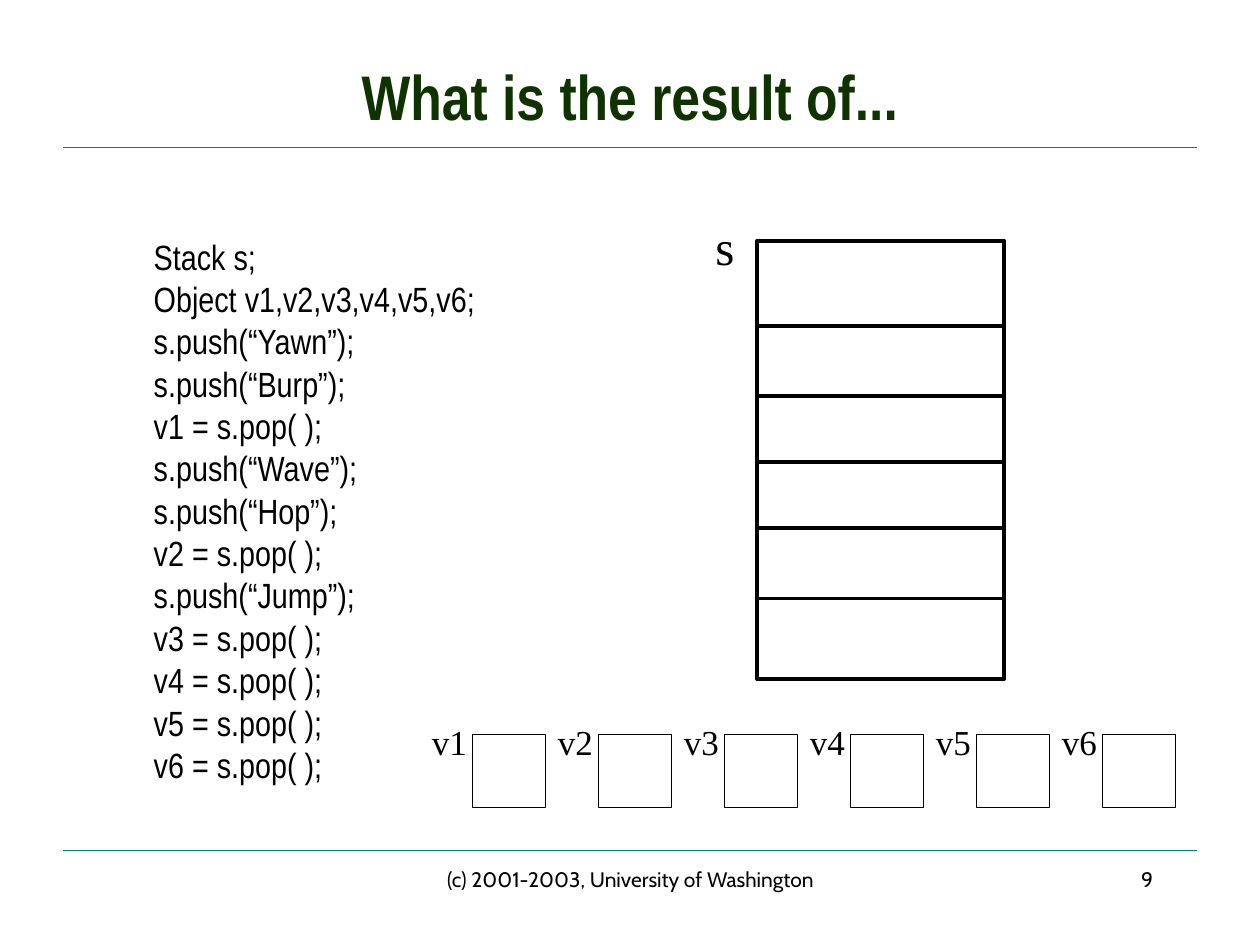
from lxml import etree
from pptx import Presentation
from pptx import util as u
from pptx.dml.color import RGBColor
from pptx.enum import shapes, text
from pptx.oxml.ns import qn

Inches = u.Inches
BLACK = RGBColor(0x00, 0x00, 0x00)
TEAL = RGBColor(0x00, 0x80, 0x80)
DARK_GREEN = RGBColor(0x0F, 0x32, 0x00)

CODE = [
    "Stack s;",
    "Object v1,v2,v3,v4,v5,v6;",
    "s.push(“Yawn”);",
    "s.push(“Burp”);",
    "v1 = s.pop( );",
    "s.push(“Wave”);",
    "s.push(“Hop”);",
    "v2 = s.pop( );",
    "s.push(“Jump”);",
    "v3 = s.pop( );",
    "v4 = s.pop( );",
    "v5 = s.pop( );",
    "v6 = s.pop( );",
]
DIVIDERS = [0.68, 1.23, 1.76, 2.28, 2.84]
VARIABLES = ["v1", "v2", "v3", "v4", "v5", "v6"]


def place(item, left, top, width, height):
    item.left, item.top = Inches(left), Inches(top)
    item.width, item.height = Inches(width), Inches(height)


def style_font(para, name, size, color=BLACK, bold=False):
    for span in para.runs:
        font = span.font
        font.name, font.size, font.bold = name, u.Pt(size), bold
        font.color.rgb = color


def add_line(parent, x1, y1, x2, y2, color, weight):
    line = parent.add_connector(shapes.MSO_CONNECTOR.STRAIGHT,
                                Inches(x1), Inches(y1), Inches(x2), Inches(y2))
    line.line.color.rgb = color
    line.line.width = u.Pt(weight)
    etree.SubElement(line._element.spPr, qn("a:effectLst"))


def add_frame(parent, left, top, width, height, weight):
    frame = parent.add_shape(shapes.MSO_SHAPE.RECTANGLE, Inches(left), Inches(top),
                             Inches(width), Inches(height))
    frame.shadow.inherit = False
    frame.fill.background()
    frame.line.color.rgb = BLACK
    frame.line.width = u.Pt(weight)


def add_label(parent, words, left, top, width, height, font, size,
              align=text.PP_ALIGN.LEFT):
    label = parent.add_textbox(Inches(left), Inches(top), Inches(width), Inches(height))
    label.text_frame.word_wrap = True
    label.text_frame.text = words
    para = label.text_frame.paragraphs[0]
    para.alignment = align
    style_font(para, font, size)


def fill_title(title, left, top, width, height):
    place(title, left, top, width, height)
    frame = title.text_frame
    frame.text = "What is the result of..."
    frame.auto_size = text.MSO_AUTO_SIZE.NONE
    frame.vertical_anchor = text.MSO_ANCHOR.MIDDLE
    para = frame.paragraphs[0]
    para.alignment = text.PP_ALIGN.CENTER
    style_font(para, "Arial Narrow", 36, DARK_GREEN, True)


def fill_code(body, left, top, width, height):
    place(body, left, top, width, height)
    frame = body.text_frame
    frame.text = "\n".join(CODE)
    frame.auto_size = text.MSO_AUTO_SIZE.NONE
    for para in frame.paragraphs:
        para.level = 2
        para.line_spacing = 0.8
        para.space_before = u.Pt(5)
        properties = para._p.get_or_add_pPr()
        properties.set("marL", str(Inches(0.62)))
        properties.set("indent", "0")
        etree.SubElement(properties, qn("a:buNone"))
        style_font(para, "Arial Narrow", 20)


def add_stack(page, left, top, width, height):
    add_frame(page.shapes, left, top, width, height, 2.25)
    for offset in DIVIDERS:
        add_line(page.shapes, left, top + offset, left + width, top + offset, BLACK, 2.25)
    add_label(page.shapes, "s", left - 0.43, top - 0.24, 0.42, 0.57,
              "Times New Roman", 28)


def add_variables(page, left, top, pitch, side):
    for index, name in enumerate(VARIABLES):
        x = left + index * pitch
        group = page.shapes.add_group_shape()
        add_frame(group.shapes, x + 0.42, top + 0.16, side, side, 1)
        add_label(group.shapes, name, x, top, 0.67, 0.44, "Times New Roman", 20)


def add_footer(page, top, height):
    add_label(page.shapes, "(c) 2001-2003, University of Washington",
              3.42, top, 3.17, height, "Cabin", 12, text.PP_ALIGN.CENTER)
    add_label(page.shapes, "9", 7.17, top, 2.08, height, "Cabin", 12,
              text.PP_ALIGN.RIGHT)


def main():
    deck = Presentation()
    deck.slide_width, deck.slide_height = Inches(10), Inches(7.5)
    page = deck.slides.add_slide(deck.slide_layouts[1])
    for y in (1.17, 6.75):
        add_line(page.shapes, 0.5, y, 9.5, y, TEAL, 0.75)
    fill_title(page.shapes.title, 0.5, 0.42, 9, 0.67)
    fill_code(page.placeholders[1], 0.5, 1.88, 9, 4.78)
    add_stack(page, 6.01, 1.91, 1.96, 3.48)
    add_variables(page, 3.33, 5.67, 1, 0.58)
    add_footer(page, 6.83, 0.5)
    deck.save("out.pptx")


if __name__ == "__main__":
    main()
